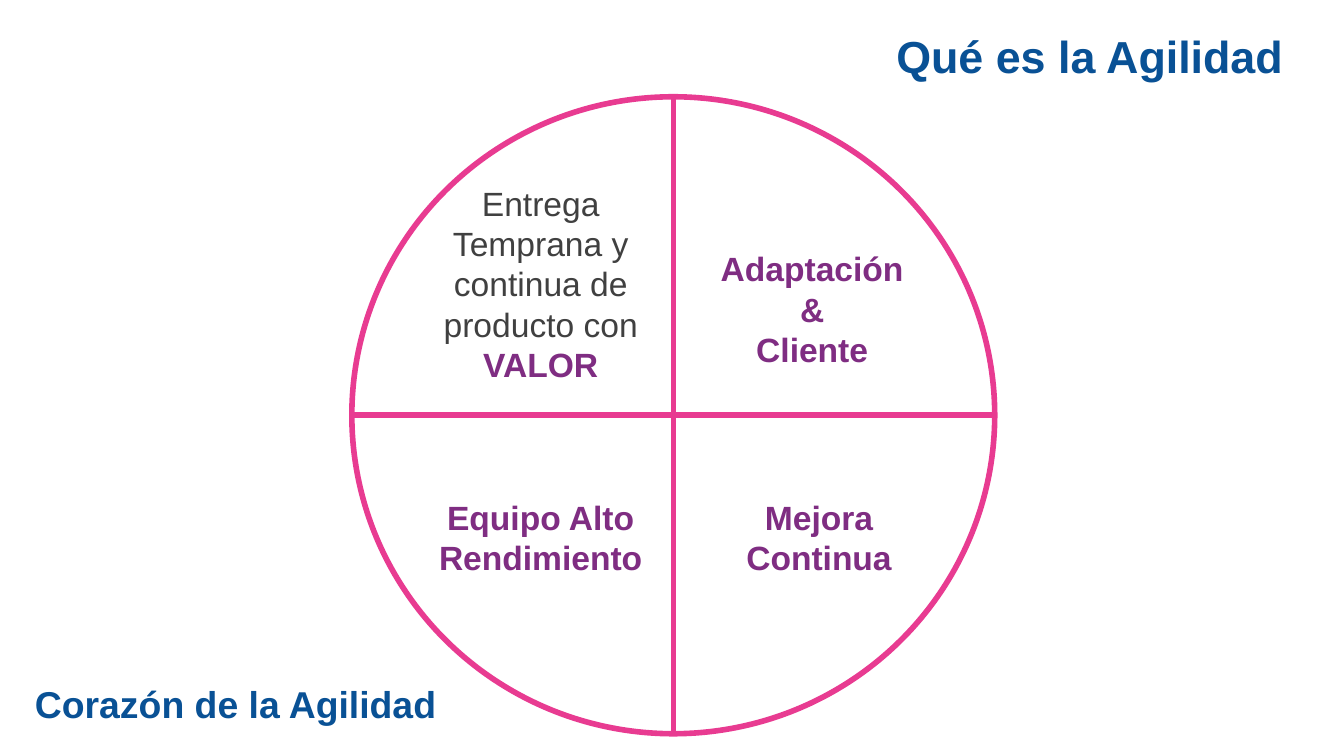
from lxml.etree import SubElement
from pptx import Presentation
from pptx.dml.color import RGBColor
from pptx.enum.shapes import MSO_CONNECTOR, MSO_SHAPE
from pptx.enum.text import MSO_AUTO_SIZE, PP_ALIGN
from pptx.oxml.ns import qn
from pptx.util import Cm, Pt

PINK = RGBColor(0xE8, 0x3B, 0x91)
PLUM = RGBColor(0x7F, 0x2D, 0x82)
BLUE = RGBColor(0x09, 0x51, 0x95)
GRAY = RGBColor(0x40, 0x40, 0x40)


class Deck:
    """Holds the style and the current slide."""
    font = "Arial"
    size = 18
    width = Pt(3)

    def __init__(self):
        self.prs = Presentation()
        self.prs.slide_width, self.prs.slide_height = Cm(25.4), Cm(14.29)
        self.slide = self.prs.slides.add_slide(self.prs.slide_layouts[6])

    def stroke(self, item):
        item.line.color.rgb = PINK
        item.line.width = self.width

    def ring(self, group, x, y, w, h):
        ring = group.shapes.add_shape(
            MSO_SHAPE.OVAL, Cm(x), Cm(y), Cm(w), Cm(h))
        ring.shadow.inherit = False
        ring.fill.background()
        self.stroke(ring)

    def line(self, group, x1, y1, x2, y2):
        line = group.shapes.add_connector(
            MSO_CONNECTOR.STRAIGHT, Cm(x1), Cm(y1), Cm(x2), Cm(y2))
        self.stroke(line)
        SubElement(line._element.spPr, qn("a:effectLst"))

    def text(self, x, y, w, h, paras, size=size, wrap=True):
        """Each paragraph is a list of (text, color, bold) runs."""
        frame = self.slide.shapes.add_textbox(
            Cm(x), Cm(y), Cm(w), Cm(h)).text_frame
        frame.word_wrap = wrap
        frame.auto_size = MSO_AUTO_SIZE.SHAPE_TO_FIT_TEXT
        for i, runs in enumerate(paras):
            para = frame.add_paragraph() if i else frame.paragraphs[0]
            para.alignment = PP_ALIGN.CENTER if wrap else PP_ALIGN.LEFT
            for words, color, bold in runs:
                run = para.add_run()
                run.text = words
                run.font.name = self.font
                run.font.size = Pt(size)
                run.font.bold = bold
                run.font.color.rgb = color


def main():
    deck = Deck()

    # Wheel cut into four parts
    left, top, wide, high = 6.65, 1.83, 12.15, 12.04
    mid_x, mid_y = left + wide / 2, top + high / 2
    wheel = deck.slide.shapes.add_group_shape()
    deck.ring(wheel, left, top, wide, high)
    deck.line(wheel, mid_x, top, mid_x, top + high)
    deck.line(wheel, left, mid_y, left + wide, mid_y)

    # Upper parts
    deck.text(7.87, 3.33, 4.7, 4.11, [[
        ("Entrega Temprana y continua de producto con ", GRAY, False),
        ("VALOR", PLUM, True)]])
    deck.text(13, 4.57, 4.7, 2.57, [
        [(word, PLUM, True)] for word in ("Adaptación", "&", "Cliente")])

    # Lower parts
    cell = 5.26
    for i, words in enumerate(("Equipo Alto Rendimiento", "Mejora Continua")):
        deck.text(7.59 + i * cell, 9.27, cell, 1.8, [[(words, PLUM, True)]])

    # Titles
    deck.text(0.41, 12.75, 8.15, 1.12,
              [[("Corazón de la Agilidad", BLUE, True)]], 20, False)
    deck.text(16.69, 0.41, 7.87, 1.27,
              [[("Qué es la Agilidad", BLUE, True)]], 24, False)

    deck.prs.save("out.pptx")


if __name__ == "__main__":
    main()
